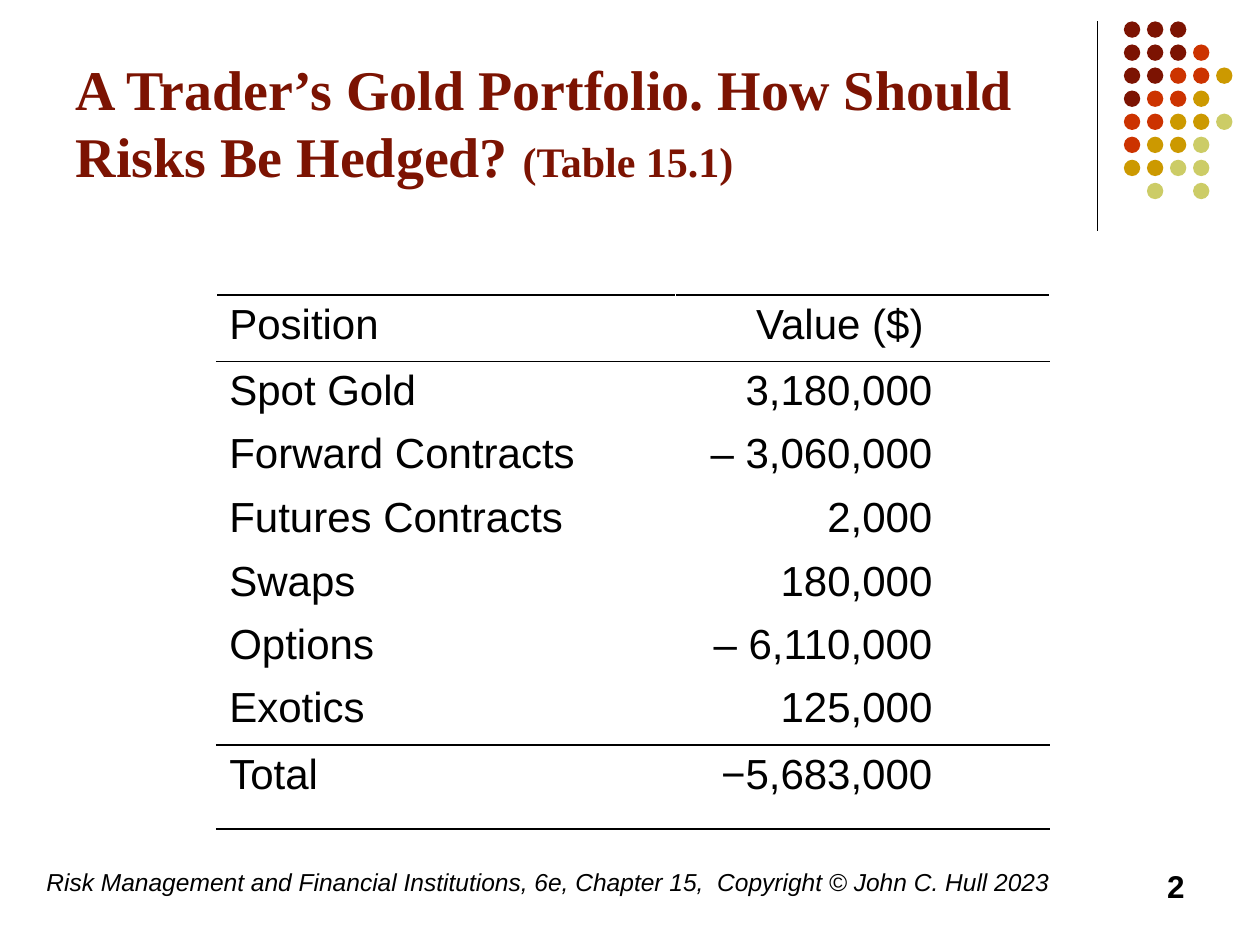
from lxml.etree import SubElement
from pptx import Presentation
from pptx.dml.color import RGBColor
from pptx.enum.shapes import MSO_CONNECTOR as Link, MSO_SHAPE as Shape
from pptx.enum.text import MSO_ANCHOR as Anchor, PP_ALIGN as Align
from pptx.oxml.ns import qn
from pptx.util import Inches, Pt

BLACK = "000000"
MAROON = "7C1302"
DOT_INKS = {"m": MAROON, "r": "CC3300", "g": "CC9900", "k": "CCCC66"}
DOT_ROWS = ["mmm", "mmmr", "mmrrg", "mrrg", "rrggk", "rggk", "ggkk", ".k.k"]

ROWS = [
    ("Position", "Value ($)", 0.53),
    ("Spot Gold", "3,180,000", 0.5),
    ("Forward Contracts", "– 3,060,000", 0.5),
    ("Futures Contracts", "2,000", 0.51),
    ("Swaps", "180,000", 0.5),
    ("Options", "– 6,110,000", 0.5),
    ("Exotics", "125,000", 0.53),
    ("Total", "−5,683,000", 0.67),
]
RULES = {0, 1, len(ROWS) - 1, len(ROWS)}  # row edges that carry a line


def color(code):
    return RGBColor.from_string(code)


def add_run(para, text, size, ink=BLACK, face="Arial", bold=False, italic=False):
    run = para.add_run()
    run.text = text
    font = run.font
    font.name, font.size, font.bold, font.italic = face, Pt(size), bold, italic
    font.color.rgb = color(ink)


def add_title(slide):
    title = slide.shapes.title
    title.left, title.top = Inches(0.5), Inches(0.13)
    title.width, title.height = Inches(8.25), Inches(1.42)
    frame = title.text_frame
    frame.word_wrap = True
    frame.vertical_anchor = Anchor.BOTTOM
    para = frame.paragraphs[0]
    para.alignment = Align.LEFT
    for text, size in [
        ("A Trader’s Gold Portfolio. How Should Risks Be Hedged? ", 32),
        ("(Table 15.1)", 24),
    ]:
        add_run(para, text, size, MAROON, "Times New Roman", bold=True)


def add_text(slide, left, width, text, size, align=Align.LEFT, **style):
    box = slide.shapes.add_textbox(
        Inches(left), Inches(6.83), Inches(width), Inches(0.5))
    box.text_frame.word_wrap = True
    para = box.text_frame.paragraphs[0]
    para.alignment = align
    add_run(para, text, size, **style)


def add_rule(slide):
    line = slide.shapes.add_connector(
        Link.STRAIGHT, Inches(8.71), Inches(0.17), Inches(8.71), Inches(1.83))
    line.line.color.rgb = color(BLACK)
    line.line.width = Pt(0.75)
    SubElement(line._element.spPr, qn("a:effectLst"))


def add_dots(slide):
    step, size = 0.183, Inches(0.13)
    for row, inks in enumerate(DOT_ROWS):
        for col, ink in enumerate(inks):
            if ink not in DOT_INKS:
                continue
            dot = slide.shapes.add_shape(
                Shape.OVAL, Inches(8.92 + col * step),
                Inches(0.17 + row * step), size, size)
            dot.shadow.inherit = False
            dot.fill.solid()
            dot.fill.fore_color.rgb = color(DOT_INKS[ink])
            dot.line.fill.background()


def add_edge(cell, tag):
    edge = SubElement(cell._tc.get_or_add_tcPr(), qn(tag), w=str(Pt(1)))
    fill = SubElement(edge, qn("a:solidFill"))
    SubElement(fill, qn("a:srgbClr"), val=BLACK)


def fill_cell(cell, row, text, align):
    if row in RULES:
        add_edge(cell, "a:lnT")
    if row + 1 in RULES:
        add_edge(cell, "a:lnB")
    cell.fill.background()
    para = cell.text_frame.paragraphs[0]
    para.alignment = align
    add_run(para, text, 24)


def add_grid(slide):
    table = slide.shapes.add_table(
        len(ROWS), 2, Inches(1.72), Inches(2.34), Inches(6.61), Inches(4.3)).table
    table.first_row = table.horz_banding = False
    table.columns[0].width = Inches(3.64)
    table.columns[1].width = Inches(2.97)
    for row, (name, value, height) in enumerate(ROWS):
        table.rows[row].height = Inches(height)
        fill_cell(table.cell(row, 0), row, name, Align.LEFT)
        cell = table.cell(row, 1)
        fill_cell(cell, row, value, Align.RIGHT)
        cell.margin_right = Inches(0.93 if row else 1)


def main():
    deck = Presentation()
    deck.slide_width, deck.slide_height = Inches(10), Inches(7.5)
    slide = deck.slides.add_slide(deck.slide_layouts[5])
    add_rule(slide)
    add_dots(slide)
    add_title(slide)
    add_text(slide, 0.27, 8.27,
             "Risk Management and Financial Institutions, 6e, Chapter 15,"
             "  Copyright © John C. Hull 2023", 14, italic=True)
    add_text(slide, 7.17, 2.33, "2", 18, Align.RIGHT, bold=True)
    add_grid(slide)
    deck.save("out.pptx")


if __name__ == "__main__":
    main()
